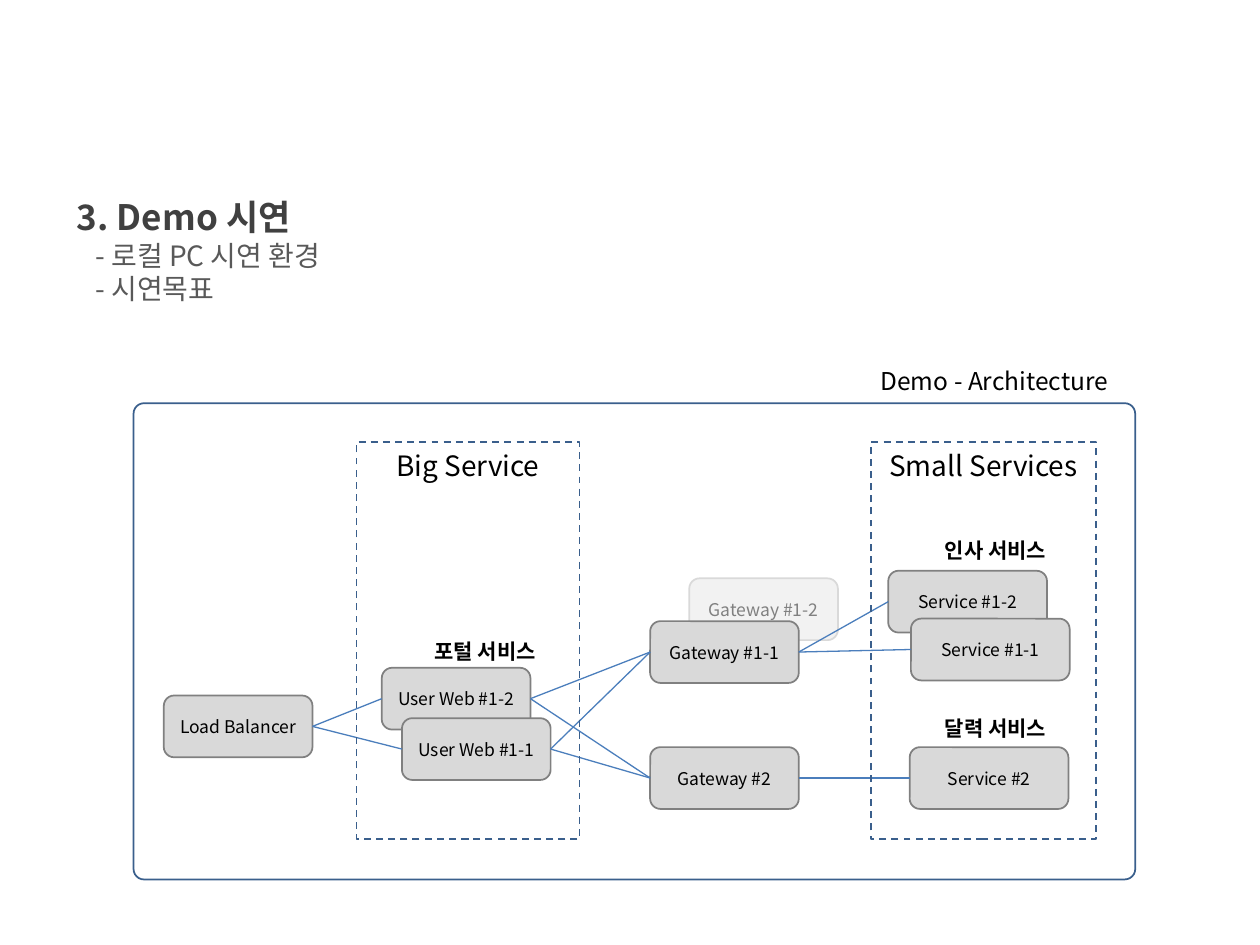
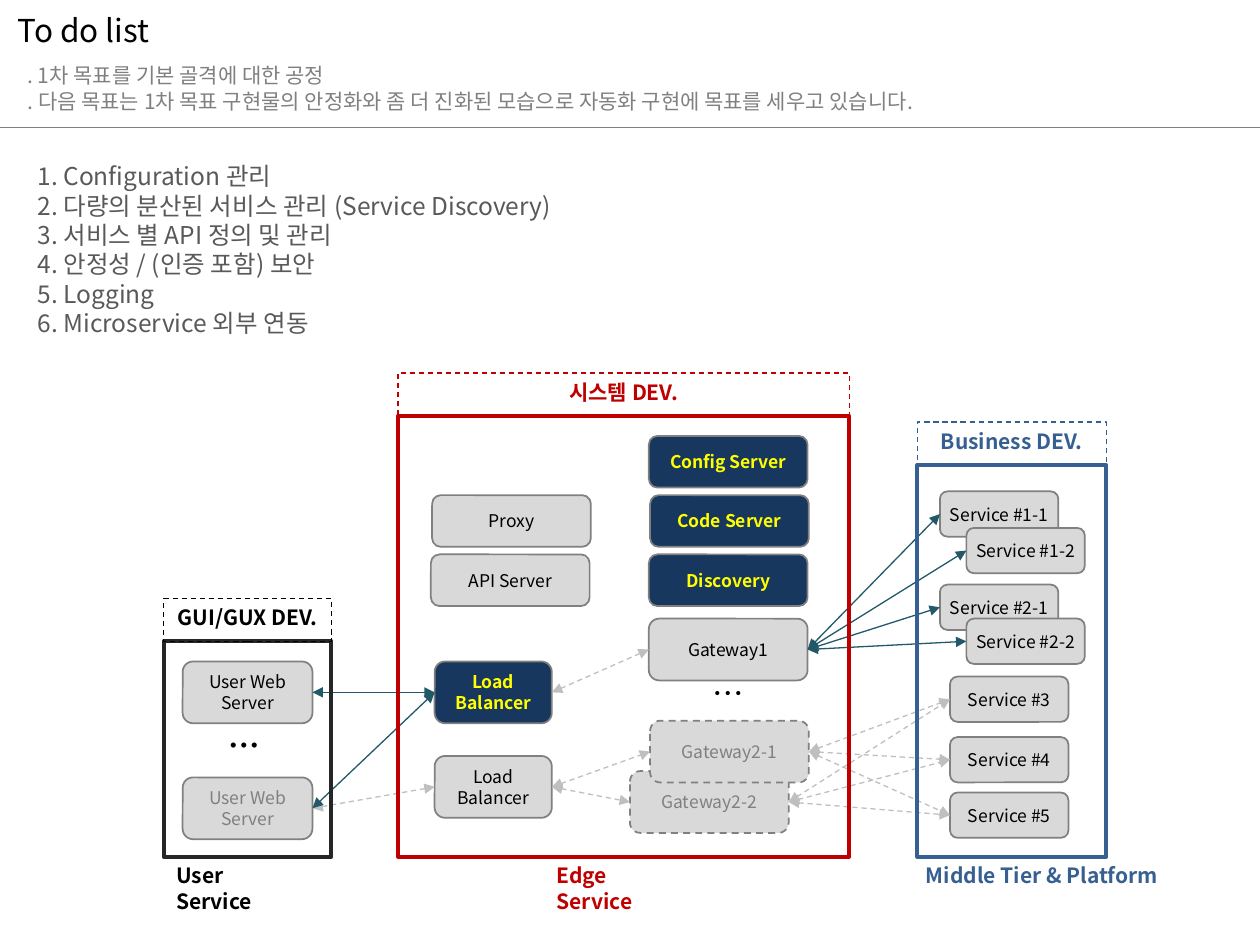
from lxml import etree
from pptx import Presentation
from pptx.dml.color import RGBColor
from pptx.enum.dml import MSO_LINE
from pptx.enum.shapes import MSO_CONNECTOR, MSO_SHAPE
from pptx.enum.text import MSO_ANCHOR as Anchor, MSO_AUTO_SIZE, PP_ALIGN as Align
from pptx.oxml.ns import qn
from pptx.util import Inches, Pt

# Shared style
FONT = "Noto Sans CJK KR"
BLACK = RGBColor(0x00, 0x00, 0x00)
INK = RGBColor(0x26, 0x26, 0x26)
HEADING = RGBColor(0x40, 0x40, 0x40)
BODY = RGBColor(0x59, 0x59, 0x59)
GREY = RGBColor(0x80, 0x80, 0x80)
PALE_LINK = RGBColor(0xBF, 0xBF, 0xBF)
NODE_FILL = RGBColor(0xD9, 0xD9, 0xD9)
FAINT_FILL = RGBColor(0xF2, 0xF2, 0xF2)
NAVY = RGBColor(0x17, 0x37, 0x5E)
YELLOW = RGBColor(0xFF, 0xFF, 0x00)
FRAME_BLUE = RGBColor(0x3A, 0x5F, 0x8C)
LINK_BLUE = RGBColor(0x4B, 0x7E, 0xBC)
TEAL = RGBColor(0x21, 0x59, 0x68)
RED = RGBColor(0xC0, 0x00, 0x00)
BUSINESS_BLUE = RGBColor(0x37, 0x60, 0x92)

# Grid: every position and size is given in columns and rows
COLUMNS, ROWS = 100, 75
LEFT_SITE, RIGHT_SITE = 1, 3


def write_text(frame, text, *, size=10, color=BLACK, bold=False, align=Align.LEFT,
               anchor=Anchor.TOP, margins=(0.1, 0.05)):
    """Fill a text frame, one paragraph for each line of text."""
    frame.word_wrap = True
    frame.auto_size = MSO_AUTO_SIZE.NONE
    frame.vertical_anchor = anchor
    frame.margin_left = frame.margin_right = Inches(margins[0])
    frame.margin_top = frame.margin_bottom = Inches(margins[1])
    frame.text = text
    for paragraph in frame.paragraphs:
        paragraph.alignment = align
        for run in paragraph.runs:
            font = run.font
            font.name, font.size, font.bold = FONT, Pt(size), bold
            font.color.rgb = color
            latin = run._r.get_or_add_rPr().find(qn("a:latin"))
            latin.addnext(etree.Element(qn("a:ea"), typeface=FONT))


class Deck:
    """Holds the presentation, its grid and the current slide."""

    def __init__(self):
        self.prs = Presentation()
        self.prs.slide_width, self.prs.slide_height = Inches(10), Inches(7.5)
        self.column = self.prs.slide_width / COLUMNS
        self.row = self.prs.slide_height / ROWS

    def place(self, left, top, width, height):
        return (round(left * self.column), round(top * self.row),
                round(width * self.column), round(height * self.row))

    def new_slide(self, title, at, **style):
        title_only = self.prs.slide_layouts[5]
        self.slide = self.prs.slides.add_slide(title_only)
        heading = self.slide.shapes.title
        heading.left, heading.top, heading.width, heading.height = self.place(*at)
        write_text(heading.text_frame, title, **style)

    def label(self, text, at, **style):
        box = self.slide.shapes.add_textbox(*self.place(*at))
        write_text(box.text_frame, text, **style)

    def outline(self, line, color, weight, dashed):
        line.color.rgb = color
        line.width = Pt(weight)
        if dashed:
            line.dash_style = MSO_LINE.DASH

    def node(self, text, at, fill=NODE_FILL, line=GREY, dashed=False, **style):
        box = self.slide.shapes.add_shape(MSO_SHAPE.ROUNDED_RECTANGLE, *self.place(*at))
        box.shadow.inherit = False
        box.fill.solid()
        box.fill.fore_color.rgb = fill
        self.outline(box.line, line, 1, dashed)
        write_text(box.text_frame, text, align=Align.CENTER, anchor=Anchor.MIDDLE,
                   margins=(0, 0), **style)
        return box

    def frame(self, at, color, text="", weight=1, dashed=False, radius=None, **style):
        preset = MSO_SHAPE.ROUNDED_RECTANGLE if radius else MSO_SHAPE.RECTANGLE
        box = self.slide.shapes.add_shape(preset, *self.place(*at))
        if radius:
            box.adjustments[0] = radius
        box.shadow.inherit = False
        box.fill.background()
        self.outline(box.line, color, weight, dashed)
        if text:
            write_text(box.text_frame, text, align=Align.CENTER, margins=(0, 0.05), **style)

    def rule(self, start, end, color, dashed=False):
        line = self.slide.shapes.add_connector(MSO_CONNECTOR.STRAIGHT,
                                               *self.place(*start, *end))
        self.outline(line.line, color, 0.75, dashed)
        etree.SubElement(line._element.spPr, qn("a:effectLst"))
        return line

    def link(self, source, target, color, dashed=False, arrows=False):
        """Join the right side of source to the left side of target."""
        line = self.rule((0, 0), (0, 0), color, dashed)
        line.begin_connect(source, RIGHT_SITE)
        line.end_connect(target, LEFT_SITE)
        if arrows:
            stroke = line._element.spPr.find(qn("a:ln"))
            for end in ("a:headEnd", "a:tailEnd"):
                etree.SubElement(stroke, qn(end), type="triangle")


def build_demo(deck):
    deck.new_slide("3. Demo 시연", (5.1, 15, 40, 4.3), size=20, color=HEADING, bold=True)
    deck.label("- 로컬 PC 시연 환경\n- 시연목표", (6.6, 18.4, 40, 6.5), size=16, color=BODY)

    # Servers, the ones behind first
    width, service_width, height = 11.8, 12.6, 4.9
    deck.node("Gateway #1-2", (54.7, 45.9, width, height),
              fill=FAINT_FILL, line=NODE_FILL, color=GREY)
    servers = {
        name: deck.node(name, (left, top, size, height))
        for name, left, top, size in (
            ("Service #1-2", 70.5, 45.3, service_width),
            ("Service #2", 72.2, 59.3, service_width),
            ("Gateway #1-1", 51.6, 49.3, width),
            ("User Web #1-2", 30.3, 53, width),
            ("Load Balancer", 13, 55.2, width),
            ("Service #1-1", 72.3, 49.1, service_width),
            ("User Web #1-1", 31.9, 57, width),
            ("Gateway #2", 51.6, 59.3, width),
        )
    }
    routes = {
        "Load Balancer": ("User Web #1-2", "User Web #1-1"),
        "User Web #1-1": ("Gateway #1-1", "Gateway #2"),
        "User Web #1-2": ("Gateway #2", "Gateway #1-1"),
        "Gateway #1-1": ("Service #1-2", "Service #1-1"),
        "Gateway #2": ("Service #2",),
    }
    for source, targets in routes.items():
        for target in targets:
            deck.link(servers[source], servers[target], LINK_BLUE)

    # Service groups and their captions
    for group, left, group_width in (("Big Service", 28.3, 17.7), ("Small Services", 69.1, 17.9)):
        deck.frame((left, 35.1, group_width, 31.5), FRAME_BLUE, group, dashed=True, size=16)
    for caption, left, top in (("인사 서비스", 74, 42.2), ("달력 서비스", 74, 56.3),
                               ("포털 서비스", 33.5, 50.2)):
        deck.label(caption, (left, top, 11, 3), size=12, bold=True)
    deck.frame((10.6, 32, 79.5, 37.8), FRAME_BLUE, radius=0.022)
    deck.label("Demo - Architecture", (68.9, 28.6, 21, 3.4), size=14)


def build_todo(deck):
    deck.new_slide("To do list", (0.4, 0.4, 30, 4), size=18)
    deck.label(". 1차 목표를 기본 골격에 대한 공정\n"
               ". 다음 목표는 1차 목표 구현물의 안정화와 좀 더 진화된 모습으로 "
               "자동화 구현에 목표를 세우고 있습니다.",
               (1.2, 4.5, 90, 5), size=12, color=GREY)
    deck.rule((0, 10.1), (COLUMNS, 10.1), GREY)
    tasks = ("Configuration 관리", "다량의 분산된 서비스 관리 (Service Discovery)",
             "서비스 별 API 정의 및 관리", "안정성 / (인증 포함) 보안",
             "Logging", "Microservice 외부 연동")
    deck.label("\n".join(f"{number}. {task}" for number, task in enumerate(tasks, 1)),
               (2, 12.3, 55, 15.1), size=14, color=BODY)

    # User and edge servers
    highlight = dict(fill=NAVY, color=YELLOW, bold=True)
    planned = dict(color=GREY, dashed=True)
    user_web = deck.node("User Web\nServer", (14.5, 52.5, 10.3, 4.9))
    next_user_web = deck.node("User Web\nServer", (14.5, 61.7, 10.3, 4.9), color=GREY)
    balancer = deck.node("Load\nBalancer", (34.5, 52.5, 9.3, 4.9), **highlight)
    next_balancer = deck.node("Load\nBalancer", (34.5, 60, 9.3, 4.9))
    gateway = deck.node("Gateway1", (51.5, 49.1, 12.6, 4.9))
    gateway_2_2 = deck.node("Gateway2-2", (50, 61.2, 12.6, 4.9), **planned)
    gateway_2_1 = deck.node("Gateway2-1", (51.6, 57.2, 12.6, 4.9), **planned)
    for name, left, top, look in (
        ("Config Server", 51.5, 34.6, highlight),
        ("Code Server", 51.6, 39.3, highlight),
        ("Discovery", 51.5, 44, highlight),
        ("Proxy", 34.3, 39.3, {}),
        ("API Server", 34.2, 44, {}),
    ):
        deck.node(name, (left, top, 12.6, 4.1), **look)
    for left, top, bold in ((54.8, 53, False), (16.4, 57.1, True)):
        deck.label("…", (left, top, 6, 4), size=18, bold=bold, align=Align.CENTER)

    # Business services
    live, later = [
        [deck.node(f"Service #{number}", (left, top, 9.4, 3.6)) for number, left, top in group]
        for group in (
            (("1-1", 74.6, 39), ("1-2", 76.7, 41.9), ("2-1", 74.6, 46.4), ("2-2", 76.7, 49.1)),
            (("3", 75.4, 53.7), ("4", 75.4, 58.5), ("5", 75.4, 62.9)),
        )
    ]

    # Links: solid ones work now, dashed ones come later
    now = [(user_web, balancer), (next_user_web, balancer)]
    now += [(gateway, service) for service in live]
    future = [(next_user_web, next_balancer), (balancer, gateway),
              (next_balancer, gateway_2_1), (next_balancer, gateway_2_2)]
    future += [(source, service) for source in (gateway_2_1, gateway_2_2) for service in later]
    for source, target in future:
        deck.link(source, target, PALE_LINK, dashed=True, arrows=True)
    for source, target in now:
        deck.link(source, target, TEAL, arrows=True)

    # Team areas: frame, tab above and caption below
    bottom, tab_height = 68, 3.4
    for team, tier, left, top, width, color, border, caption_left in (
        ("시스템 DEV.", "Edge\nService", 31.6, 33, 35.8, RED, RED, 43.2),
        ("GUI/GUX DEV.", "User\nService", 13, 50.9, 13.3, BLACK, INK, 13),
        ("Business DEV.", "Middle Tier & Platform", 72.8, 36.9, 15, BUSINESS_BLUE,
         BUSINESS_BLUE, 72.5),
    ):
        caption = dict(size=12, color=color, bold=True)
        tab = (left, top - tab_height, width, tab_height)
        deck.frame((left, top, width, bottom - top), border, weight=2.25)
        deck.frame(tab, color, weight=0.75, dashed=True)
        deck.label(team, tab, align=Align.CENTER, margins=(0, 0.05), **caption)
        deck.label(tier, (caption_left, bottom, 22, 5), **caption)


def main():
    deck = Deck()
    build_demo(deck)
    build_todo(deck)
    deck.prs.save("out.pptx")


if __name__ == "__main__":
    main()
